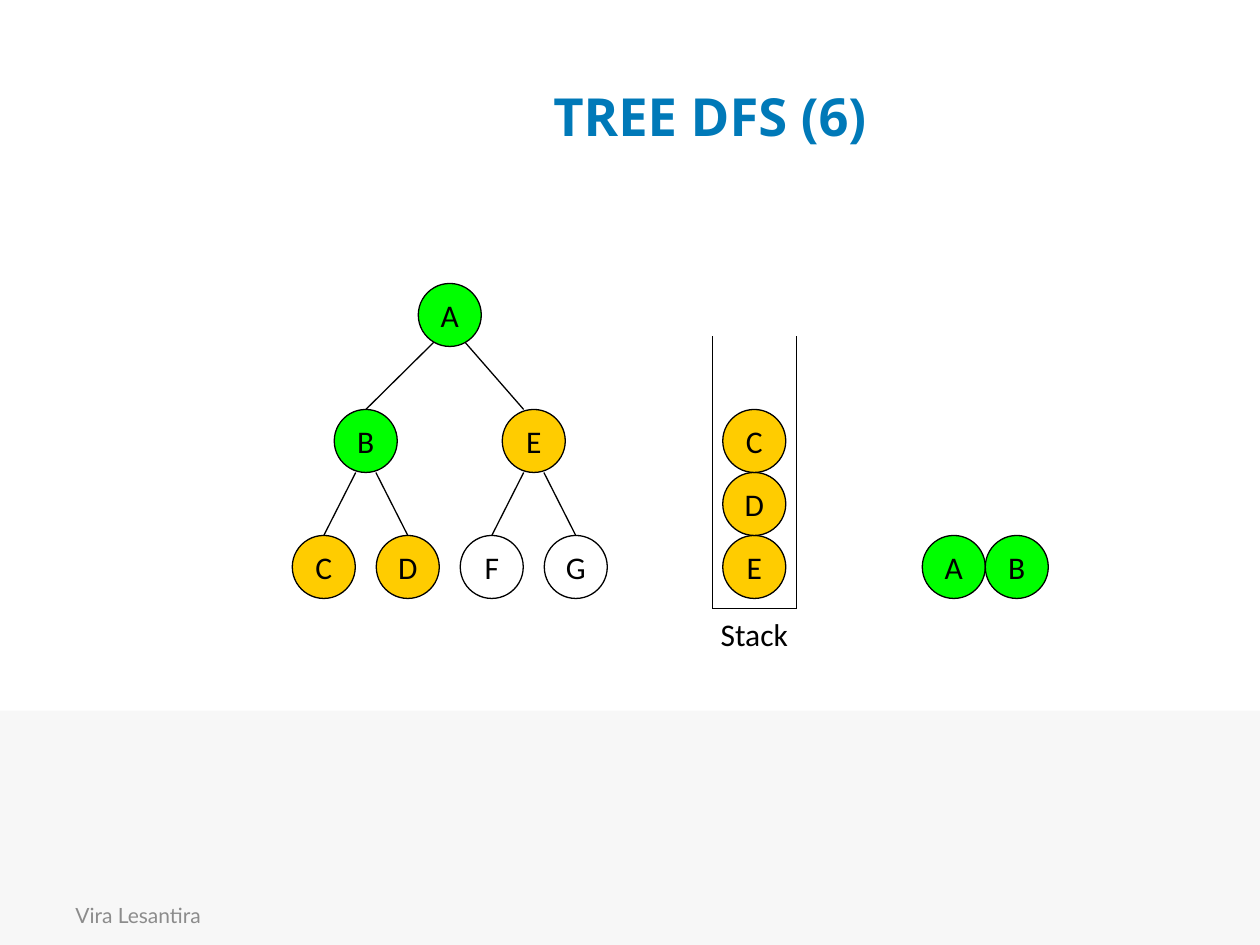
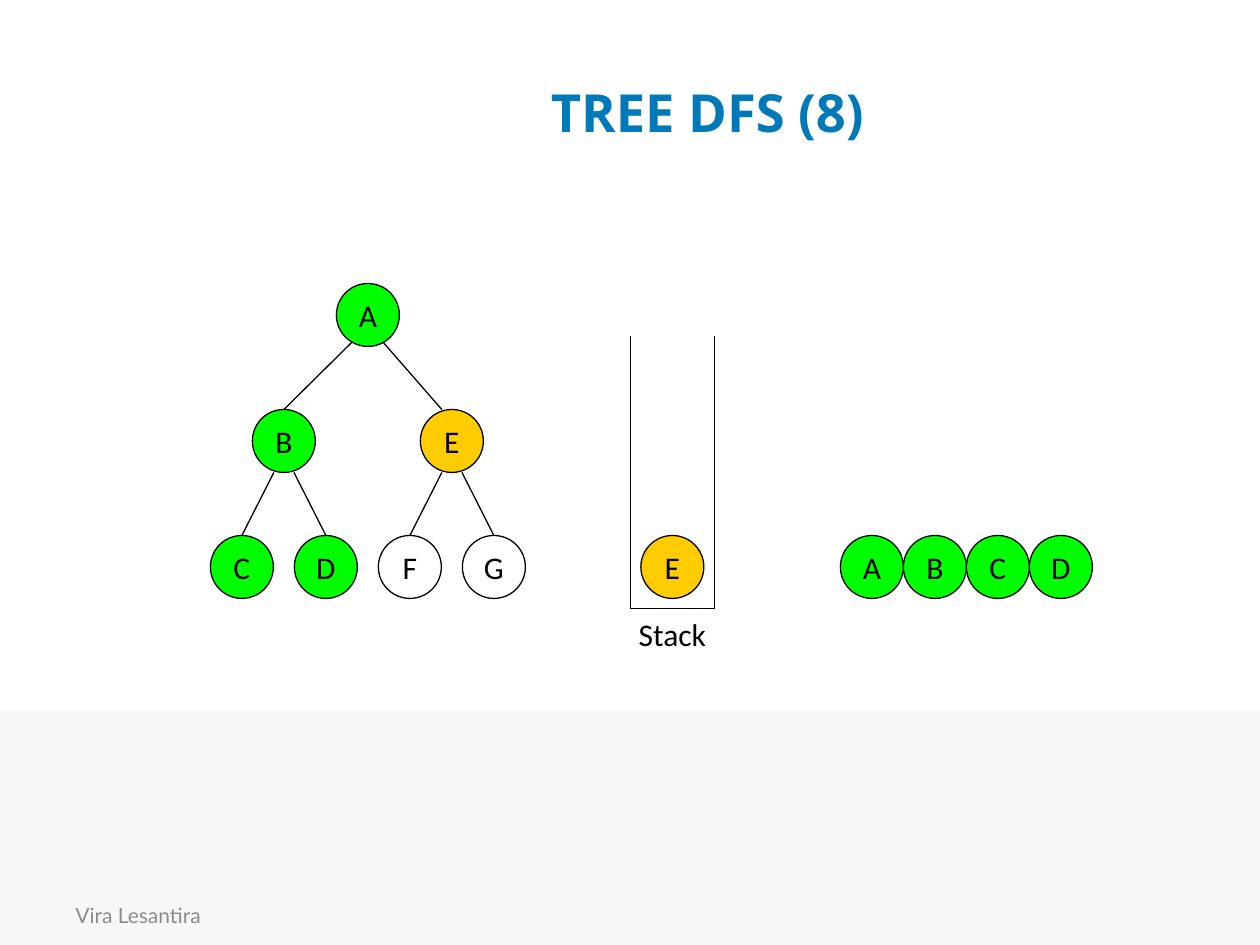
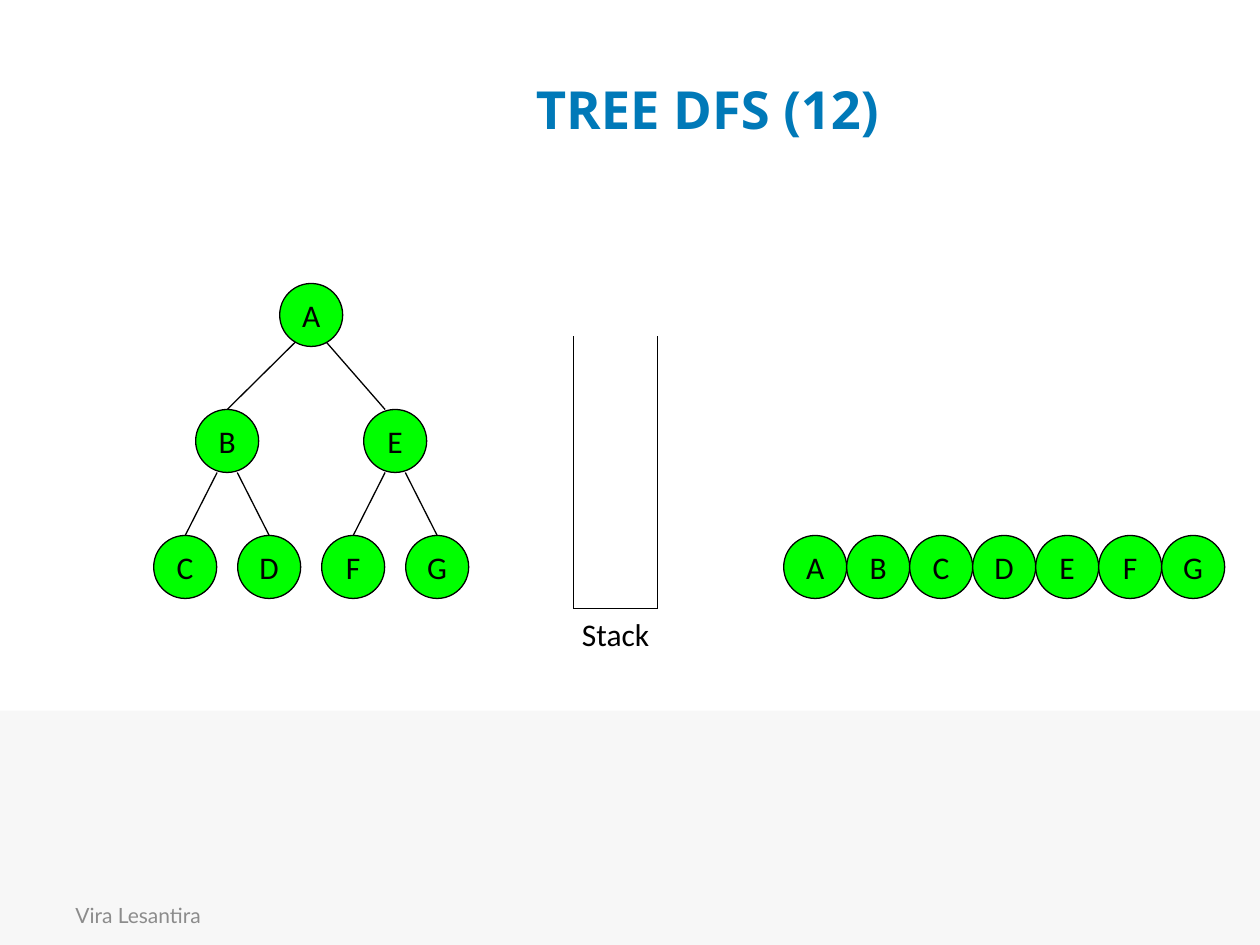
from lxml import etree
from pptx import Presentation
from pptx import util as u
from pptx.dml.color import RGBColor
from pptx.enum import shapes, text
from pptx.oxml.ns import qn

COLOURS = {
    "title": "0079B8", "band": "F7F7F7", "footer": "8C8C8C", "ink": "000000",
    "visited": "00FF00", "stacked": "FFCC00", "waiting": "FFFFFF",
}
FOOTER = "Vira Lesantira"

# Stack is listed from bottom to top; left is the left edge of the tree
STEPS = [
    {"title": "TREE DFS (6)", "title_at": (1.77, 0.29), "left": 2.32,
     "stack": "EDC", "visited": "AB"},
    {"title": "TREE DFS (8)", "title_at": (1.75, 0.26), "left": 1.67,
     "stack": "E", "visited": "ABCD"},
    {"title": "TREE DFS (12)", "title_at": (1.75, 0.24), "left": 1.22,
     "stack": "", "visited": "ABCDEFG"},
]

# Node: (column, level)
TREE = {"A": (1.5, 0), "B": (0.5, 1), "E": (2.5, 1),
        "C": (0, 2), "D": (1, 2), "F": (2, 2), "G": (3, 2)}
# Edge: (parent, child, side of the parent, shift of the child end)
EDGES = [("B", "D", 1, 0), ("B", "C", -1, 0), ("E", "G", 1, 0),
         ("E", "F", -1, 0), ("A", "E", 1, -0.08), ("A", "B", -1, 0)]

NODE = 0.5
COLUMN = 2 / 3
TREE_TOP = 2.25
BASE_ROW = TREE_TOP + 2
EDGE_SHIFT = 0.08
ROOT_EDGE_TOP = 2.67
STACK_OFFSET, STACK_TOP, STACK_BOTTOM = 5 * COLUMN, 2.67, 4.83
VISITED_OFFSET = 5
LABEL_WIDTH = 0.83


def colour(name):
    return RGBColor.from_string(COLOURS[name])


def write(shape, content, size=18, font="Calibri", ink="ink", bold=False,
          align=text.PP_ALIGN.CENTER, anchor=text.MSO_ANCHOR.MIDDLE, wrap=False):
    frame = shape.text_frame
    frame.word_wrap = wrap
    frame.vertical_anchor = anchor
    paragraph = frame.paragraphs[0]
    paragraph.alignment = align
    run = paragraph.add_run()
    run.text = content
    run.font.size = u.Pt(size)
    run.font.name = font
    run.font.bold = bold
    run.font.color.rgb = colour(ink)


def add_line(container, start, end):
    points = [u.Inches(value) for value in (*start, *end)]
    line = container.add_connector(shapes.MSO_CONNECTOR.STRAIGHT, *points)
    line.line.color.rgb = colour("ink")
    line.line.width = u.Pt(0.75)
    etree.SubElement(line.element.find(qn("p:spPr")), qn("a:effectLst"))


def add_filled(container, kind, box, fill):
    shape = container.add_shape(kind, *map(u.Inches, box))
    shape.shadow.inherit = False
    shape.fill.solid()
    shape.fill.fore_color.rgb = colour(fill)
    return shape


def add_node(container, name, left, top, state):
    node = add_filled(container, shapes.MSO_SHAPE.OVAL, (left, top, NODE, NODE), state)
    node.line.color.rgb = colour("ink")
    node.line.width = u.Pt(0.75)
    write(node, name)


# Band, footer and title
def add_frame(slide, step):
    band = add_filled(slide.shapes, shapes.MSO_SHAPE.RECTANGLE, (0, 5.64, 10, 1.86), "band")
    band.line.fill.background()
    footer = slide.shapes.add_textbox(*map(u.Inches, (0.5, 7.06, 2.33, 0.4)))
    write(footer, FOOTER, size=12, font="Lato", ink="footer",
          align=text.PP_ALIGN.LEFT, wrap=True)
    title = slide.shapes.title
    title.left, title.top = map(u.Inches, step["title_at"])
    title.width, title.height = u.Inches(7.73), u.Inches(1.25)
    write(title, step["title"], size=30, font="Open Sans", ink="title",
          bold=True, wrap=True)


def add_tree(slide, step):
    group = slide.shapes.add_group_shape().shapes
    corners = {name: (step["left"] + column * COLUMN, TREE_TOP + level)
               for name, (column, level) in TREE.items()}
    for parent, child, side, shift in EDGES:
        parent_left, parent_top = corners[parent]
        child_left, child_top = corners[child]
        # The root edges start higher, on the slope of the circle
        parent_bottom = ROOT_EDGE_TOP if parent == "A" else parent_top + NODE
        add_line(group, (child_left + NODE / 2 + shift, child_top),
                 (parent_left + NODE / 2 + side * EDGE_SHIFT, parent_bottom))
    for name, corner in corners.items():
        state = ("visited" if name in step["visited"]
                 else "stacked" if name in step["stack"] else "waiting")
        add_node(group, name, *corner, state)


def add_stack(slide, step):
    group = slide.shapes.add_group_shape().shapes
    left = step["left"] + STACK_OFFSET
    right = left + COLUMN
    middle = (left + right) / 2
    walls = [(left, STACK_TOP), (left, STACK_BOTTOM),
             (right, STACK_BOTTOM), (right, STACK_TOP)]
    for start, end in zip(walls, walls[1:]):
        add_line(group, start, end)
    for index, name in enumerate(step["stack"]):
        add_node(group, name, middle - NODE / 2, BASE_ROW - index * NODE, "stacked")
    label_box = (middle - LABEL_WIDTH / 2, STACK_BOTTOM, LABEL_WIDTH, 0.4)
    label = slide.shapes.add_textbox(*map(u.Inches, label_box))
    write(label, "Stack", anchor=text.MSO_ANCHOR.TOP)
    label.text_frame.auto_size = text.MSO_AUTO_SIZE.SHAPE_TO_FIT_TEXT


def add_visited(slide, step):
    for index, name in enumerate(step["visited"]):
        left = step["left"] + VISITED_OFFSET + index * NODE
        add_node(slide.shapes, name, left, BASE_ROW, "visited")


def main():
    presentation = Presentation()
    presentation.slide_width, presentation.slide_height = u.Inches(10), u.Inches(7.5)
    for step in STEPS:
        slide = presentation.slides.add_slide(presentation.slide_layouts[5])
        for add_part in (add_frame, add_tree, add_stack, add_visited):
            add_part(slide, step)
    presentation.save("out.pptx")


if __name__ == "__main__":
    main()
